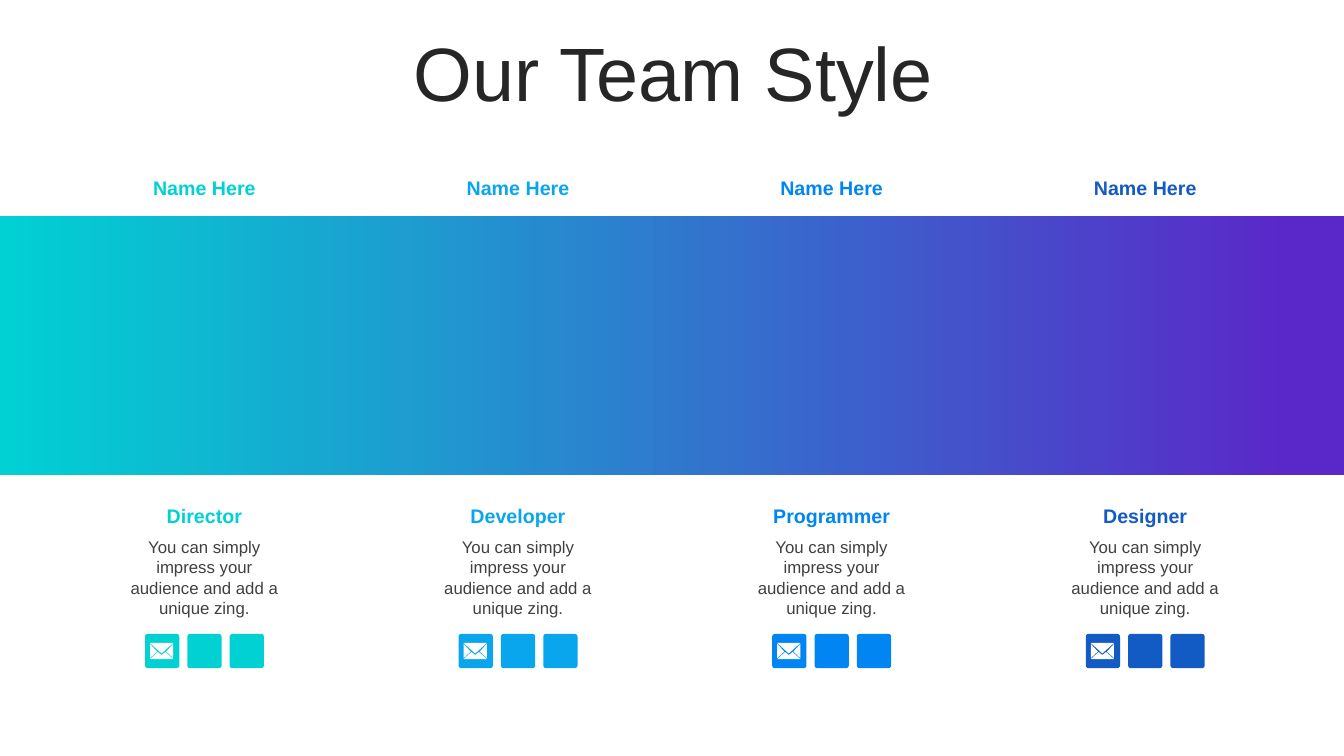
import pptx
import pptx.util
import pptx.dml.color
import pptx.enum.shapes
import pptx.enum.text

RGBColor = pptx.dml.color.RGBColor
SHAPE = pptx.enum.shapes.MSO_SHAPE
ALIGN = pptx.enum.text.PP_ALIGN
ANCHOR = pptx.enum.text.MSO_ANCHOR

AQUA = RGBColor(0x01, 0xD1, 0xD3)
SKY = RGBColor(0x0A, 0xA6, 0xED)
BLUE = RGBColor(0x00, 0x85, 0xF2)
NAVY = RGBColor(0x12, 0x5A, 0xC4)
VIOLET = RGBColor(0x5A, 0x28, 0xC8)
INK = RGBColor(0x26, 0x26, 0x26)
GREY = RGBColor(0x40, 0x40, 0x40)
WHITE = RGBColor(0xFF, 0xFF, 0xFF)

UNIT = pptx.util.Inches(1) / 9
COLS, ROWS = 120, 67.5
FIRST, PITCH, WIDE = 10, 28, 16.5
TILE, STEP = 3.06, 3.78
BLURB = "You can simply impress your audience and add a unique zing."
TEAM = [("Director", AQUA), ("Developer", SKY), ("Programmer", BLUE), ("Designer", NAVY)]
FOLDS = [
    [(45, 81), (148, 175), (252, 81)],
    [(45, 90), (45, 216), (108, 158)],
    [(252, 90), (189, 158), (252, 216)],
    [(182, 162), (148, 189), (115, 162), (45, 225), (252, 225)],
]


def grid(*cells):
    return [round(cell * UNIT) for cell in cells]


class Deck:
    """Draws styled elements on one slide, on a grid of 120 columns."""

    def __init__(self, font):
        self.font = font
        self.show = pptx.Presentation()
        self.show.slide_width, self.show.slide_height = grid(COLS, ROWS)
        self.slide = self.show.slides.add_slide(self.show.slide_layouts[5])
        self.shapes = self.slide.shapes

    def label(self, shape, words, size, color, bold=False, anchor=ANCHOR.TOP):
        frame = shape.text_frame
        frame.word_wrap = True
        frame.auto_size = pptx.enum.text.MSO_AUTO_SIZE.NONE
        frame.vertical_anchor = anchor
        para = frame.paragraphs[0]
        para.alignment = ALIGN.CENTER
        run = para.add_run()
        run.text = words
        run.font.name = self.font
        run.font.size = pptx.util.Pt(size)
        run.font.bold = bold
        run.font.color.rgb = color
        return para

    def title(self, words, *cells):
        shape = self.shapes.title
        shape.left, shape.top, shape.width, shape.height = grid(*cells)
        self.label(shape, words, 54, INK, anchor=ANCHOR.MIDDLE).line_spacing = 0.9

    def text(self, words, cells, size, color, **style):
        self.label(self.shapes.add_textbox(*grid(*cells)), words, size, color, **style)

    def band(self, *cells):
        shape = self.shapes.add_shape(SHAPE.RECTANGLE, *grid(*cells))
        shape.shadow.inherit = False
        shape.line.fill.background()
        shape.fill.gradient()
        shape.fill.gradient_angle = 0
        for stop, place, color in zip(shape.fill.gradient_stops, (0, 0.96), (AQUA, VIOLET)):
            stop.position = place
            stop.color.rgb = color

    def paint(self, shape, color):
        shape.shadow.inherit = False
        shape.line.fill.background()
        shape.fill.solid()
        shape.fill.fore_color.rgb = color

    def tile(self, col, row, color):
        shape = self.shapes.add_shape(SHAPE.ROUNDED_RECTANGLE, *grid(col, row, TILE, TILE))
        shape.adjustments[0] = 0.08
        self.paint(shape, color)

    def mail(self, col, row):
        pen = self.shapes.build_freeform(*FOLDS[0][0], scale=UNIT / 100)
        for fold in FOLDS:
            if fold is not FOLDS[0]:
                pen.move_to(*fold[0])
            pen.add_line_segments(fold[1:], close=True)
        self.paint(pen.convert_to_shape(*grid(col, row)), WHITE)


def main():
    deck = Deck("Arial")
    deck.band(0, 19.28, COLS, 23.1)
    deck.title("Our Team Style", 3.15, 3.33, 113.94, 7.11)
    for index, (role, color) in enumerate(TEAM):
        col = FIRST + index * PITCH
        deck.text("Name Here", (col, 15.3, WIDE, 3.15), 14, color, bold=True)
        deck.text(role, (col, 44.45, WIDE, 3.15), 14, color, bold=True, anchor=ANCHOR.MIDDLE)
        deck.text(BLURB, (col, 47.5, WIDE, 8.2), 12, GREY)
        for place in range(3):
            deck.tile(col + 2.95 + place * STEP, 56.6, color)
        deck.mail(col + 2.95, 56.6)
    deck.show.save("out.pptx")


if __name__ == "__main__":
    main()
